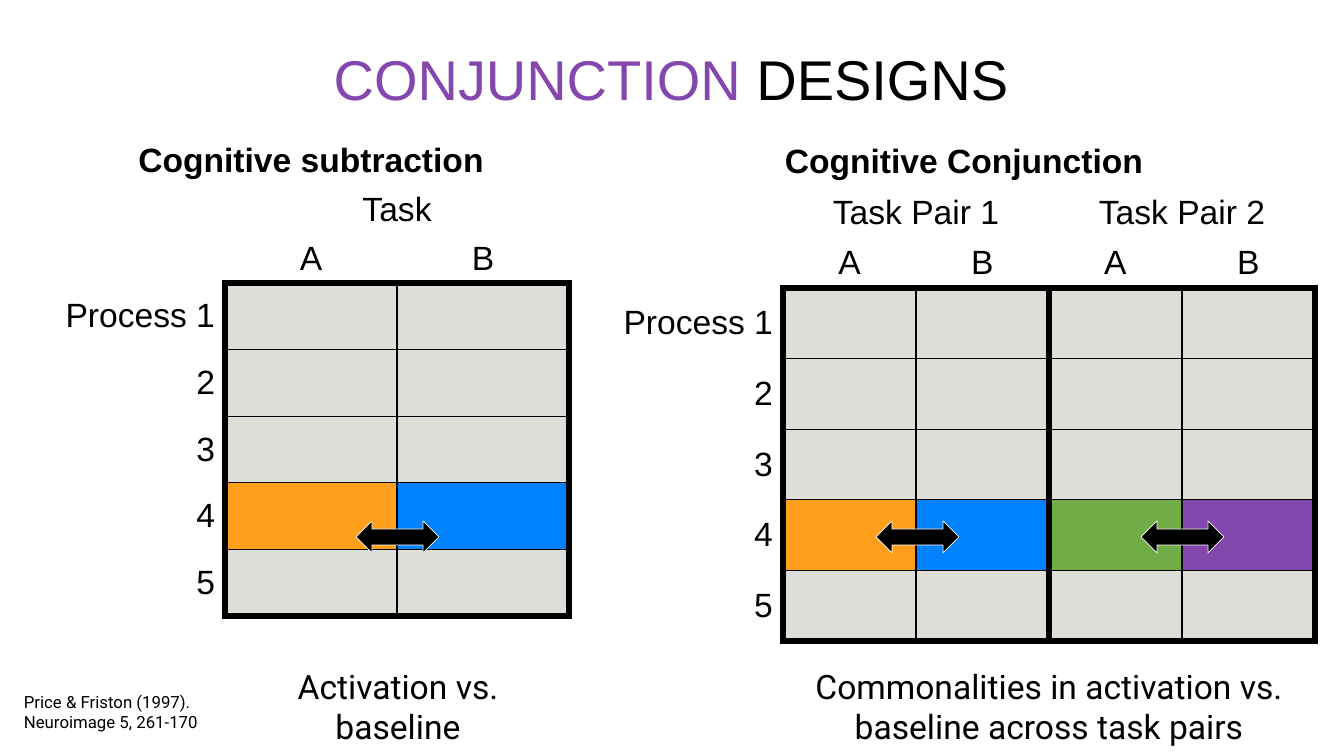
from lxml import etree
from pptx import Presentation
from pptx.dml.color import RGBColor
from pptx.enum import shapes, text
from pptx.oxml import ns
from pptx.util import Emu, Pt

SCALE = 914400 / 100.8
BLACK = RGBColor(0x00, 0x00, 0x00)
WHITE = RGBColor(0xFF, 0xFF, 0xFF)
GREY = RGBColor(0xDE, 0xDE, 0xD8)
ORANGE = RGBColor(0xFF, 0x9F, 0x1B)
BLUE = RGBColor(0x00, 0x82, 0xFF)
GREEN = RGBColor(0x70, 0xAD, 0x47)
PURPLE = RGBColor(0x84, 0x47, 0xAD)
LEFT, CENTER, RIGHT = text.PP_ALIGN.LEFT, text.PP_ALIGN.CENTER, text.PP_ALIGN.RIGHT
THICK, THIN = 4.5, 1
HEAD, BODY = 3, 5
ACTIVE = 4


def px(n):
    return Emu(round(n * SCALE))


def write(frame, words, size=24, font="Arial", color=BLACK, bold=False, align=CENTER, new=True):
    """Put words in the first paragraph; new=False adds a further run to it."""
    para = frame.paragraphs[0]
    if new:
        para.clear()
    para.alignment = align
    run = para.add_run()
    run.text = words
    run.font.size = Pt(size)
    run.font.name = font
    run.font.bold = bold
    run.font.color.rgb = color


def edge(cell, side, width):
    """Draw one cell border, or none when width is 0."""
    line = etree.SubElement(cell._tc.get_or_add_tcPr(), ns.qn("a:ln" + side))
    line.set("w", str(Pt(width)))
    if not width:
        etree.SubElement(line, ns.qn("a:noFill"))
        return
    fill = etree.SubElement(line, ns.qn("a:solidFill"))
    etree.SubElement(fill, ns.qn("a:srgbClr")).set("val", str(BLACK))


def borders(row, col):
    """Border widths of a cell: thick around each pair of columns, thin within."""
    if row >= HEAD and col:
        return {
            "L": THICK if col % 2 else THIN,
            "R": THIN if col % 2 else THICK,
            "T": THICK if row == HEAD else THIN,
            "B": THICK if row == HEAD + BODY - 1 else THIN,
        }
    return {
        "L": 0,
        "R": THICK if row >= HEAD and not col else 0,
        "T": 0,
        "B": THICK if row == HEAD - 1 and col else 0,
    }


class Deck:
    def __init__(self, width, height):
        self.show = Presentation()
        self.show.slide_width, self.show.slide_height = px(width), px(height)
        self.slide = self.show.slides.add_slide(self.show.slide_layouts[5])

    def title(self, x, y, w, h, parts):
        box = self.slide.shapes.title
        box.left, box.top, box.width, box.height = map(px, (x, y, w, h))
        box.text_frame.auto_size = text.MSO_AUTO_SIZE.NONE
        box.text_frame.vertical_anchor = text.MSO_ANCHOR.MIDDLE
        for i, (words, color) in enumerate(parts):
            write(box.text_frame, words, size=40, color=color, new=i == 0)

    def note(self, x, y, w, h, words, **form):
        frame = self.slide.shapes.add_textbox(*map(px, (x, y, w, h))).text_frame
        frame.word_wrap = True
        write(frame, words, font="Roboto", **form)

    def grid(self, x, y, top, end, first, wide, name, pairs, colors):
        """Table whose body runs from top to end, with one A/B pair per task."""
        count = len(colors)
        frame = self.slide.shapes.add_table(
            HEAD + BODY, count + 1, px(x), px(y), px(first + wide * count), px(end - y))
        table = frame.table
        for i, col in enumerate(table.columns):
            col.width = px(wide if i else first)
        for i, row in enumerate(table.rows):
            row.height = px((top - y) / HEAD if i < HEAD else (end - top) / BODY)

        for r in range(HEAD + BODY):
            for c in range(count + 1):
                cell = table.cell(r, c)
                cell.margin_top = cell.margin_bottom = 0
                cell.vertical_anchor = text.MSO_ANCHOR.MIDDLE
                for side, width in borders(r, c).items():
                    edge(cell, side, width)
                if r >= HEAD and c:
                    cell.fill.solid()
                    cell.fill.fore_color.rgb = colors[c - 1] if r == HEAD + ACTIVE - 1 else GREY
                else:
                    cell.fill.background()

        table.cell(0, 0).merge(table.cell(0, count))
        write(table.cell(0, 0).text_frame, name, bold=True)
        for i, pair in enumerate(pairs):
            col = 2 * i + 1
            table.cell(1, col).merge(table.cell(1, col + 1))
            write(table.cell(1, col).text_frame, pair)
            for j, task in enumerate("AB"):
                write(table.cell(2, col + j).text_frame, task)
        for n in range(1, BODY + 1):
            label = f"Process {n}" if n == 1 else str(n)
            write(table.cell(HEAD + n - 1, 0).text_frame, label, align=RIGHT)

    def arrow(self, x, y, w, h):
        shape = self.slide.shapes.add_shape(
            shapes.MSO_SHAPE.LEFT_RIGHT_ARROW, *map(px, (x, y, w, h)))
        shape.shadow.inherit = False
        shape.fill.solid()
        shape.fill.fore_color.rgb = BLACK
        shape.line.color.rgb = WHITE
        shape.line.width = Pt(0.5)


def main():
    deck = Deck(1344, 756)
    deck.title(311, 39, 720, 78, [("CONJUNCTION ", PURPLE), ("DESIGNS", BLACK)])
    deck.grid(53, 137, 283, 616, 172, 172, "Cognitive subtraction", ["Task"], [ORANGE, BLUE])
    deck.grid(613, 137, 288, 641, 170, 133, "Cognitive Conjunction",
              ["Task Pair 1", "Task Pair 2"], [ORANGE, BLUE, GREEN, PURPLE])
    deck.note(226, 661, 344, 92, "Activation vs. baseline")
    deck.note(783, 661, 532, 92, "Commonalities in activation vs. baseline across task pairs")
    deck.note(14, 687, 195, 50, "Price & Friston (1997). Neuroimage 5, 261-170",
              size=12, align=LEFT)
    for x in (356, 876, 1141):
        deck.arrow(x, 521, 83, 32)
    deck.show.save("out.pptx")


if __name__ == "__main__":
    main()
